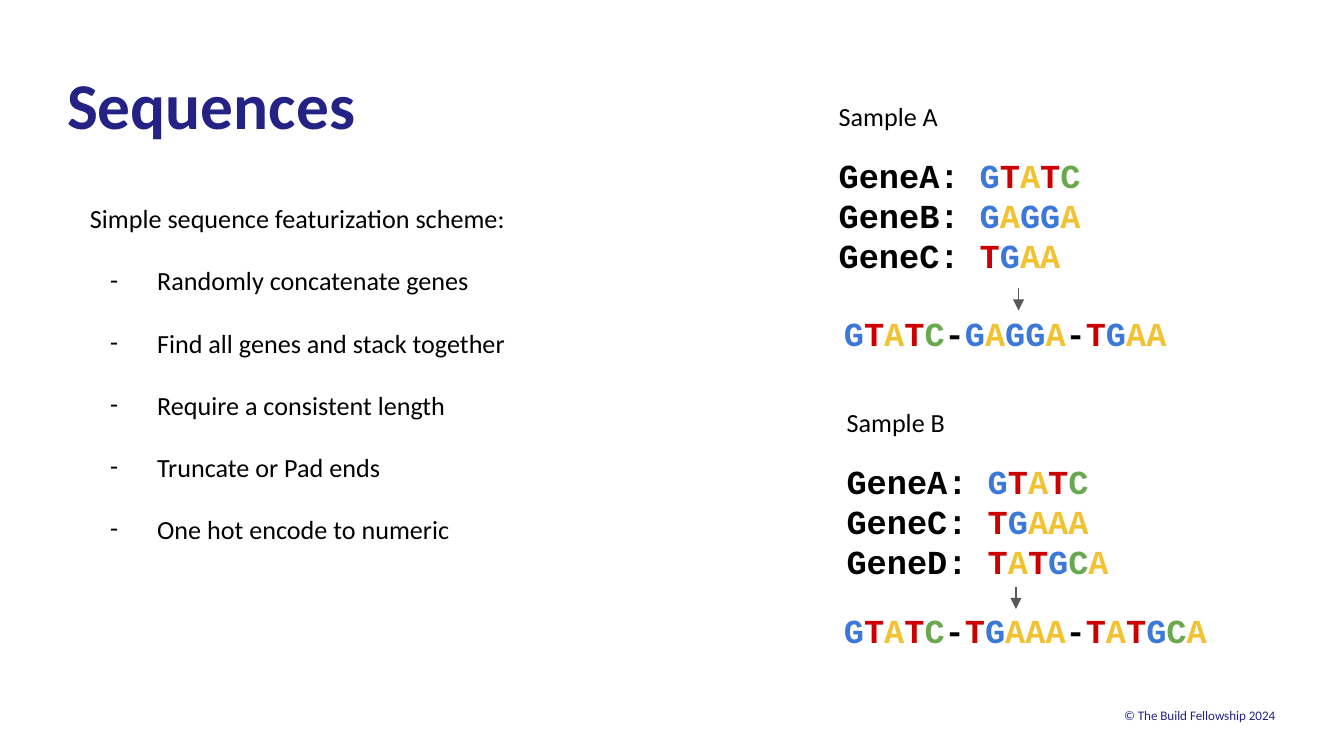
from dataclasses import dataclass
from itertools import groupby

from lxml.etree import SubElement
from pptx import Presentation
from pptx.dml.color import RGBColor
from pptx.enum.shapes import MSO_CONNECTOR
from pptx.enum.text import MSO_ANCHOR, PP_ALIGN
from pptx.oxml.ns import qn
from pptx.util import Cm, Pt

NAVY, BLACK, GREY = "242385", "000000", "595959"
BASES = {"G": "3C78D8", "T": "CC0000", "A": "F1C232", "C": "6AA84F"}
TITLE = {"name": "Calibri", "size": Pt(35), "bold": True}
PLAIN = {"name": "Calibri", "size": Pt(14)}
SMALL = {"name": "Calibri", "size": Pt(7)}
CODE = {"name": "Courier New", "size": Pt(18), "bold": True}
SIDES = ("margin_left", "margin_top", "margin_right", "margin_bottom")
STEPS = (
    "Randomly concatenate genes",
    "Find all genes and stack together",
    "Require a consistent length",
    "Truncate or Pad ends",
    "One hot encode to numeric",
)


@dataclass
class Box:
    left: float
    top: float
    width: float
    height: float
    inset: float = 0.25


@dataclass
class Sample:
    name: str
    left: float
    top: float
    genes: dict[str, str]
    arrow: tuple[float, float, float]
    chain: float


SAMPLES = (
    Sample("Sample A", 15.6, 1.65,
           {"GeneA": "GTATC", "GeneB": "GAGGA", "GeneC": "TGAA"},
           (19.25, 5.44, 5.87), 5.66),
    Sample("Sample B", 15.75, 7.44,
           {"GeneA": "GTATC", "GeneC": "TGAAA", "GeneD": "TATGCA"},
           (19.2, 11.1, 11.51), 11.28),
)


def paint(code: str) -> RGBColor:
    return RGBColor.from_string(code)


def add_frame(slide, box: Box):
    shape = slide.shapes.add_textbox(
        Cm(box.left), Cm(box.top), Cm(box.width), Cm(box.height))
    frame = shape.text_frame
    frame.word_wrap = True
    for side in SIDES:
        setattr(frame, side, Cm(box.inset))
    return frame


def add_run(para, text: str, style: dict, color: str) -> None:
    run = para.add_run()
    run.text = text
    for key, value in style.items():
        setattr(run.font, key, value)
    run.font.color.rgb = paint(color)


def add_label(slide, box: Box, text: str, style: dict, color: str):
    frame = add_frame(slide, box)
    add_run(frame.paragraphs[0], text, style, color)
    return frame


def add_bases(para, text: str) -> None:
    for color, group in groupby(text, lambda base: BASES.get(base, BLACK)):
        add_run(para, "".join(group), CODE, color)


def add_item(frame, text: str) -> None:
    para = frame.add_paragraph()
    props = para._p.get_or_add_pPr()
    props.set("marL", str(Cm(1.27)))
    props.set("indent", str(Cm(-0.89)))
    tint = SubElement(props, qn("a:buClr"))
    SubElement(tint, qn("a:srgbClr"), val=BLACK)
    SubElement(props, qn("a:buFont"), typeface="Calibri")
    SubElement(props, qn("a:buChar"), char="-")
    para.space_before = Pt(16.5)
    add_run(para, text, PLAIN, BLACK)


def add_arrow(slide, x: float, top: float, end: float) -> None:
    arrow = slide.shapes.add_connector(
        MSO_CONNECTOR.STRAIGHT, Cm(x), Cm(top), Cm(x), Cm(end))
    arrow.line.color.rgb = paint(GREY)
    arrow.line.width = Pt(0.75)
    SubElement(arrow.line._get_or_add_ln(), qn("a:tailEnd"), type="triangle")
    SubElement(arrow._element.spPr, qn("a:effectLst"))


def add_sample(slide, sample: Sample) -> None:
    add_label(slide, Box(sample.left, sample.top, 6.58, 1.02),
              sample.name, PLAIN, BLACK)
    frame = add_frame(slide, Box(sample.left, sample.top + 1.02, 8.56, 2.82))
    for index, (gene, bases) in enumerate(sample.genes.items()):
        para = frame.add_paragraph() if index else frame.paragraphs[0]
        add_run(para, f"{gene}: ", CODE, BLACK)
        add_bases(para, bases)
    chain = add_frame(slide, Box(15.7, sample.chain, 8.33, 1.27))
    add_bases(chain.paragraphs[0], "-".join(sample.genes.values()))
    add_arrow(slide, *sample.arrow)


def main() -> None:
    deck = Presentation()
    deck.slide_width, deck.slide_height = Cm(25.4), Cm(14.29)
    slide = deck.slides.add_slide(deck.slide_layouts[6])
    foot = add_label(slide, Box(1.27, 13.31, 22.83, 0.41, 0),
                     "© The Build Fellowship 2024", SMALL, NAVY)
    foot.vertical_anchor = MSO_ANCHOR.MIDDLE
    foot.paragraphs[0].alignment = PP_ALIGN.RIGHT
    add_label(slide, Box(1.27, 1.22, 16.43, 2.92, 0),
              "Sequences", TITLE, NAVY)
    body = add_label(slide, Box(1.45, 3.58, 12.67, 8.1),
                     "Simple sequence featurization scheme:", PLAIN, BLACK)
    for step in STEPS:
        add_item(body, step)
    for sample in SAMPLES:
        add_sample(slide, sample)
    deck.save("out.pptx")


if __name__ == "__main__":
    main()
